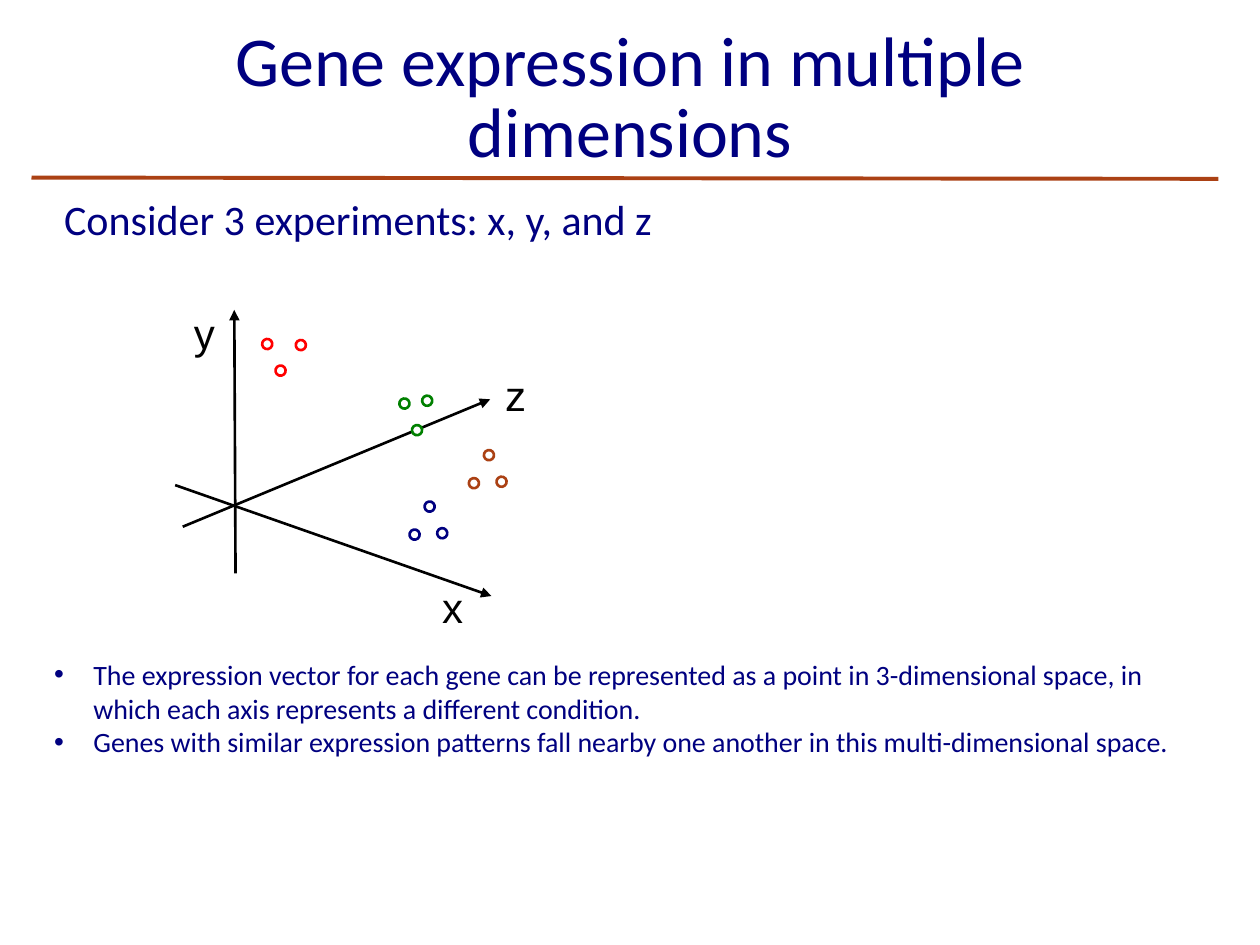
from lxml import etree
from pptx import Presentation
from pptx.dml.color import RGBColor
from pptx.enum import shapes, text
from pptx.oxml import ns
from pptx.util import Pt

NAVY, RUST, BLACK, RED, GREEN = "000080", "AB4114", "000000", "FF0000", "008000"


def color(value):
    return RGBColor.from_string(value)


def add_text(box, lines, size, font, value):
    left, top, width, height = box
    shape = slide.shapes.add_textbox(Pt(left), Pt(top), Pt(width), Pt(height))
    frame = shape.text_frame
    frame.word_wrap = True
    for index, line in enumerate(lines):
        paragraph = frame.add_paragraph() if index else frame.paragraphs[0]
        run = paragraph.add_run()
        run.text = line
        run.font.size = Pt(size)
        run.font.name = font
        run.font.color.rgb = color(value)
    return frame


presentation = Presentation()
presentation.slide_width, presentation.slide_height = Pt(720), Pt(540)
slide = presentation.slides.add_slide(presentation.slide_layouts[6])

# Title
title = add_text((54, 12.2, 612, 90), ["Gene expression in multiple dimensions"],
                 40, "Calibri", NAVY)
title.vertical_anchor = text.MSO_ANCHOR.MIDDLE
title.paragraphs[0].alignment = text.PP_ALIGN.CENTER
title.paragraphs[0].line_spacing = Pt(41)

# Bulleted explanation
bullets = add_text((23.8, 372.2, 671.8, 85), [
    "The expression vector for each gene can be represented as a point in "
    "3-dimensional space, in which each axis represents a different condition.",
    "Genes with similar expression patterns fall nearby one another in this "
    "multi-dimensional space.",
], 16, "Calibri", NAVY)
for paragraph in bullets.paragraphs:
    properties = paragraph._p.get_or_add_pPr()
    properties.set("marL", str(Pt(22.5)))
    properties.set("indent", str(Pt(-22.5)))
    etree.SubElement(properties, ns.qn("a:buFont")).set("typeface", "Arial")
    etree.SubElement(properties, ns.qn("a:buChar")).set("char", "•")

# Subtitle
add_text((29.5, 107.3, 421.2, 36), ["Consider 3 experiments: x, y, and z"],
         24, "Calibri", NAVY)

# Title rule and the y, x and z axes
for start_x, start_y, end_x, end_y, value, weight, arrow in [
    (18, 101.5, 696.2, 102.2, RUST, 2.25, False),
    (134.6, 327.6, 133.9, 177.1, BLACK, 1.5, True),
    (100.1, 277.2, 280.8, 340.6, BLACK, 1.5, True),
    (104.4, 301, 280.1, 228.2, BLACK, 1.5, True),
]:
    line = slide.shapes.add_connector(shapes.MSO_CONNECTOR.STRAIGHT, Pt(start_x),
                                      Pt(start_y), Pt(end_x), Pt(end_y))
    line.line.color.rgb = color(value)
    line.line.width = Pt(weight)
    if arrow:
        outline = line.line._get_or_add_ln()
        etree.SubElement(outline, ns.qn("a:tailEnd")).set("type", "triangle")
    etree.SubElement(line._element.spPr, ns.qn("a:effectLst"))

# Axis labels
for label, left, top, width in [("x", 245.5, 329, 66.2), ("y", 103.7, 172.1, 31),
                                ("z", 281.5, 207.4, 29.5)]:
    add_text((left, top, width, 36), [label], 24, "Arial", BLACK)

# Gene clusters: first point, then the offsets of its three points
triangle = [(0, 0), (7.2, 15.2), (-8.6, 16)]
for value, left, top, offsets in [
    (RED, 149.8, 193.7, [(0, 0), (7.6, 15.2), (19.2, 0.6)]),
    (GREEN, 241.2, 226.1, [(0, 0), (-13, 1.6), (-5.8, 16.8)]),
    (NAVY, 242.6, 286.6, triangle),
    (RUST, 276.5, 257.2, triangle),
]:
    for shift_x, shift_y in offsets:
        gene = slide.shapes.add_shape(shapes.MSO_SHAPE.OVAL, Pt(left + shift_x),
                                      Pt(top + shift_y), Pt(5.8), Pt(5.8))
        gene.rotation = 19.4
        gene.shadow.inherit = False
        gene.fill.solid()
        gene.fill.fore_color.rgb = color("FFFFFF")
        gene.line.color.rgb = color(value)
        gene.line.width = Pt(1.5)

presentation.save("out.pptx")
